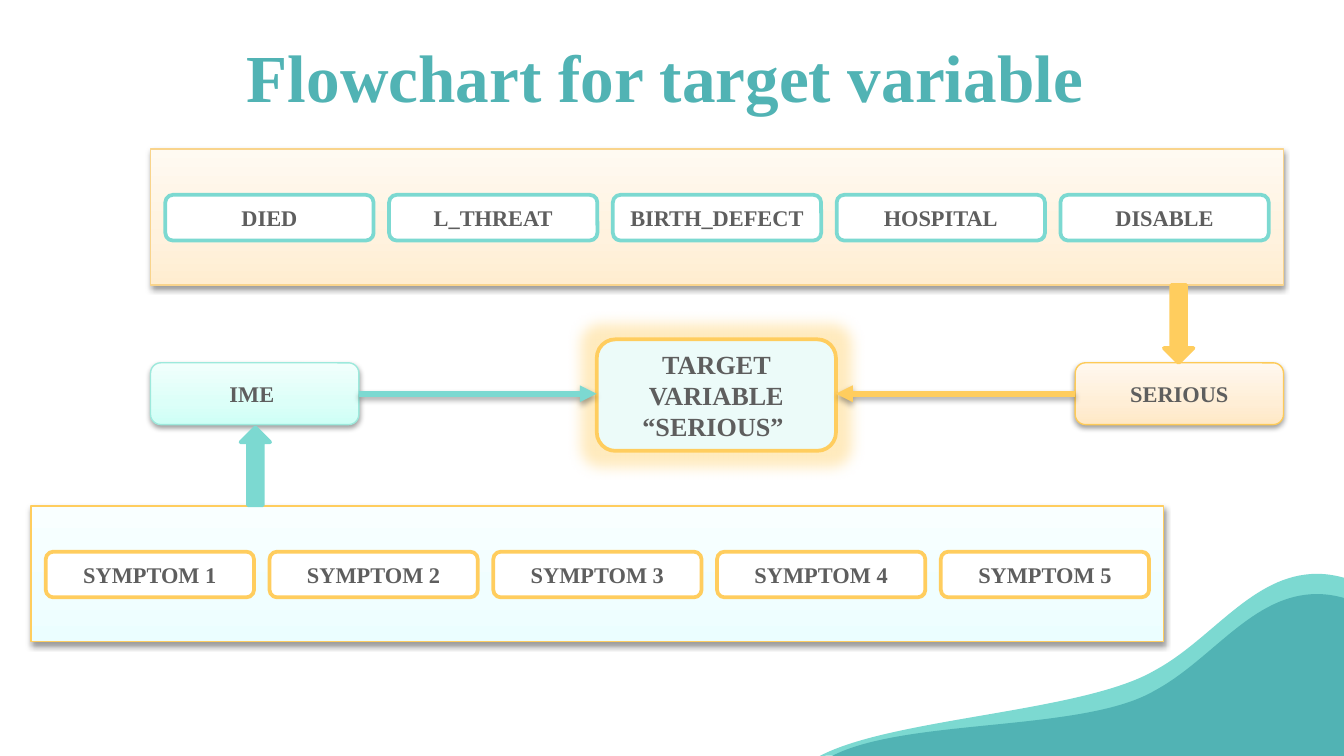
from lxml import etree
from pptx import Presentation
from pptx.dml.color import RGBColor
from pptx.enum.shapes import MSO_CONNECTOR, MSO_SHAPE
from pptx.enum.text import MSO_ANCHOR, PP_ALIGN
from pptx.oxml.ns import qn
from pptx.util import Inches, Pt

RECTANGLE = MSO_SHAPE.RECTANGLE
ROUNDED = MSO_SHAPE.ROUNDED_RECTANGLE
DOWN_ARROW = MSO_SHAPE.DOWN_ARROW
STRAIGHT = MSO_CONNECTOR.STRAIGHT
CENTER = PP_ALIGN.CENTER
MIDDLE, TOP = MSO_ANCHOR.MIDDLE, MSO_ANCHOR.TOP
LEFT_SIDE, RIGHT_SIDE = 1, 3

COLUMNS, ROWS = 100, 56.25
CELL = Inches(10) // COLUMNS
FONT = "Times New Roman"
TEAL, MINT, YELLOW, GREY, WHITE = "51B3B4", "7CD9D1", "FFCD5E", "5E5E5E", "FFFFFF"
ITEM_WIDTH, ITEM_PITCH = 15.5, 16.65


def cells(*lengths):
    return [round(length * CELL) for length in lengths]


def paint(color_format, color):
    color_format.rgb = RGBColor.from_string(color)


def add_effect(shape, kind, color, opacity, **settings):
    properties = shape._element.spPr
    effects = properties.find(qn("a:effectLst"))
    if effects is None:
        effects = etree.SubElement(properties, qn("a:effectLst"))
    effect = etree.SubElement(effects, qn(kind), {key: str(value) for key, value in settings.items()})
    tint = etree.SubElement(effect, qn("a:srgbClr"), val=color)
    etree.SubElement(tint, qn("a:alpha"), val=str(opacity * 1000))


def add_shadow(shape, opacity=38, distance=1.6):
    add_effect(shape, "a:outerShdw", "000000", opacity, blurRad=Pt(3.1),
               dist=Pt(distance), dir=5400000, rotWithShape=0)


def fill_gradient(shape, colors):
    shape.fill.gradient()
    shape.fill.gradient_angle = 90
    stops = shape._element.spPr.find(".//" + qn("a:gsLst"))
    stops.clear()
    for position, color in zip((0, 35, 100), colors):
        stop = etree.SubElement(stops, qn("a:gs"), pos=str(position * 1000))
        etree.SubElement(stop, qn("a:srgbClr"), val=color)


def write(shape, text, size=12, color=GREY, anchor=MIDDLE, insets=(1, 0.5, 1)):
    frame = shape.text_frame
    frame.word_wrap = True
    frame.vertical_anchor = anchor
    frame.margin_left, frame.margin_top, frame.margin_right = cells(*insets)
    for index, line in enumerate(text.split("\n")):
        para = frame.paragraphs[0] if index == 0 else frame.add_paragraph()
        para.alignment = CENTER
        span = para.add_run()
        span.text = line
        span.font.name = FONT
        span.font.size = Pt(size)
        span.font.bold = True
        paint(span.font.color, color)


def add_box(page, kind, place, fill, line, width=2):
    box = page.shapes.add_shape(kind, *cells(*place))
    box.shadow.inherit = False
    if isinstance(fill, str):
        box.fill.solid()
        paint(box.fill.fore_color, fill)
    else:
        fill_gradient(box, fill)
        add_shadow(box)
    paint(box.line.color, line)
    box.line.width = Pt(width)
    return box


def add_group(page, left, top, names, gradient, border, item_border):
    add_box(page, RECTANGLE, (left, top, 84.3, 10.1), gradient, border, 0.75)
    for index, name in enumerate(names):
        place = (left + 1.1 + index * ITEM_PITCH, top + 3.4, ITEM_WIDTH, 3.4)
        write(add_box(page, ROUNDED, place, WHITE, item_border), name)


def add_link(page, start, start_side, end, end_side, color):
    link = page.shapes.add_connector(STRAIGHT, 0, 0, 0, 0)
    link.begin_connect(start, start_side)
    link.end_connect(end, end_side)
    link.end_y = link.begin_y
    paint(link.line.color, color)
    link.line.width = Pt(3)
    etree.SubElement(link.line._get_or_add_ln(), qn("a:tailEnd"), type="triangle")
    add_shadow(link, 35, 1.8)


def bend(shape, curve_count):
    lines = shape._element.spPr.findall(".//" + qn("a:lnTo"))
    for index in range(0, curve_count * 3, 3):
        curve = etree.Element(qn("a:cubicBezTo"))
        lines[index].addprevious(curve)
        for line in lines[index:index + 3]:
            curve.append(line[0])
            line.getparent().remove(line)


def add_wave(page, start, first, second, drop, bottom, color):
    ridge = ((85.9, 49.9), (90.2, 47.6), (93.2, 42.7), (98, 42.7),
             (99.3, 42.7), (100.6, 43.1), (102.2, 43.8))
    points = [first, second, *((x, y + drop) for x, y in ridge), (102.2, bottom)]
    builder = page.shapes.build_freeform(*cells(*start))
    builder.add_line_segments([cells(*point) for point in points], close=True)
    wave = builder.convert_to_shape()
    bend(wave, 3)
    wave.shadow.inherit = False
    wave.fill.solid()
    paint(wave.fill.fore_color, color)
    wave.line.fill.background()


def main():
    deck = Presentation()
    deck.slide_width, deck.slide_height = cells(COLUMNS, ROWS)
    page = deck.slides.add_slide(deck.slide_layouts[6])

    add_wave(page, (61, ROWS), (66.4, 53.4), (80.6, 53), 0, 54.8, MINT)
    add_wave(page, (61.9, ROWS), (67.4, 53.4), (80.6, 54.5), 1.5, ROWS, TEAL)

    title = page.shapes.add_textbox(*cells(17.5, 1.6, 65, 5.1))
    write(title, "Flowchart for target variable", size=36, color=TEAL, anchor=TOP,
          insets=(0.5, 1, 1.5))

    outcomes = ("DIED", "L_THREAT", "BIRTH_DEFECT", "HOSPITAL", "DISABLE")
    symptoms = [f"SYMPTOM {number}" for number in range(1, 6)]
    add_group(page, 11.2, 11.1, outcomes, ("FFEDD0", "FFF2DE", "FFFAF2"), "F9D48C", MINT)
    add_group(page, 2.3, 37.65, symptoms, ("EBFEFF", "F0FEFF", "F9FFFF"), YELLOW, YELLOW)

    ime = add_box(page, ROUNDED, (11.2, 27, ITEM_WIDTH, 4.6),
                  ("CEFFF6", "DCFFF8", "F1FFFC"), "9DE9DC", 0.75)
    write(ime, "IME ")
    serious = add_box(page, ROUNDED, (80, 27, ITEM_WIDTH, 4.6),
                      ("FFE8C5", "FFEED6", "FFF8EF"), "FDCA58", 0.75)
    write(serious, "SERIOUS")

    add_box(page, DOWN_ARROW, (86.6, 21.2, 2.2, 5.8), YELLOW, YELLOW)
    add_box(page, DOWN_ARROW, (17.9, 31.8, 2.2, 5.8), MINT, MINT).rotation = 180

    target = add_box(page, ROUNDED, (44.4, 25.25, 17.8, 8.3), "ECFBF9", YELLOW)
    add_effect(target, "a:glow", YELLOW, 40, rad=Pt(15))
    write(target, "TARGET VARIABLE\n“SERIOUS” ", size=14)

    add_link(page, ime, RIGHT_SIDE, target, LEFT_SIDE, MINT)
    add_link(page, serious, LEFT_SIDE, target, RIGHT_SIDE, YELLOW)
    deck.save("out.pptx")


if __name__ == "__main__":
    main()
